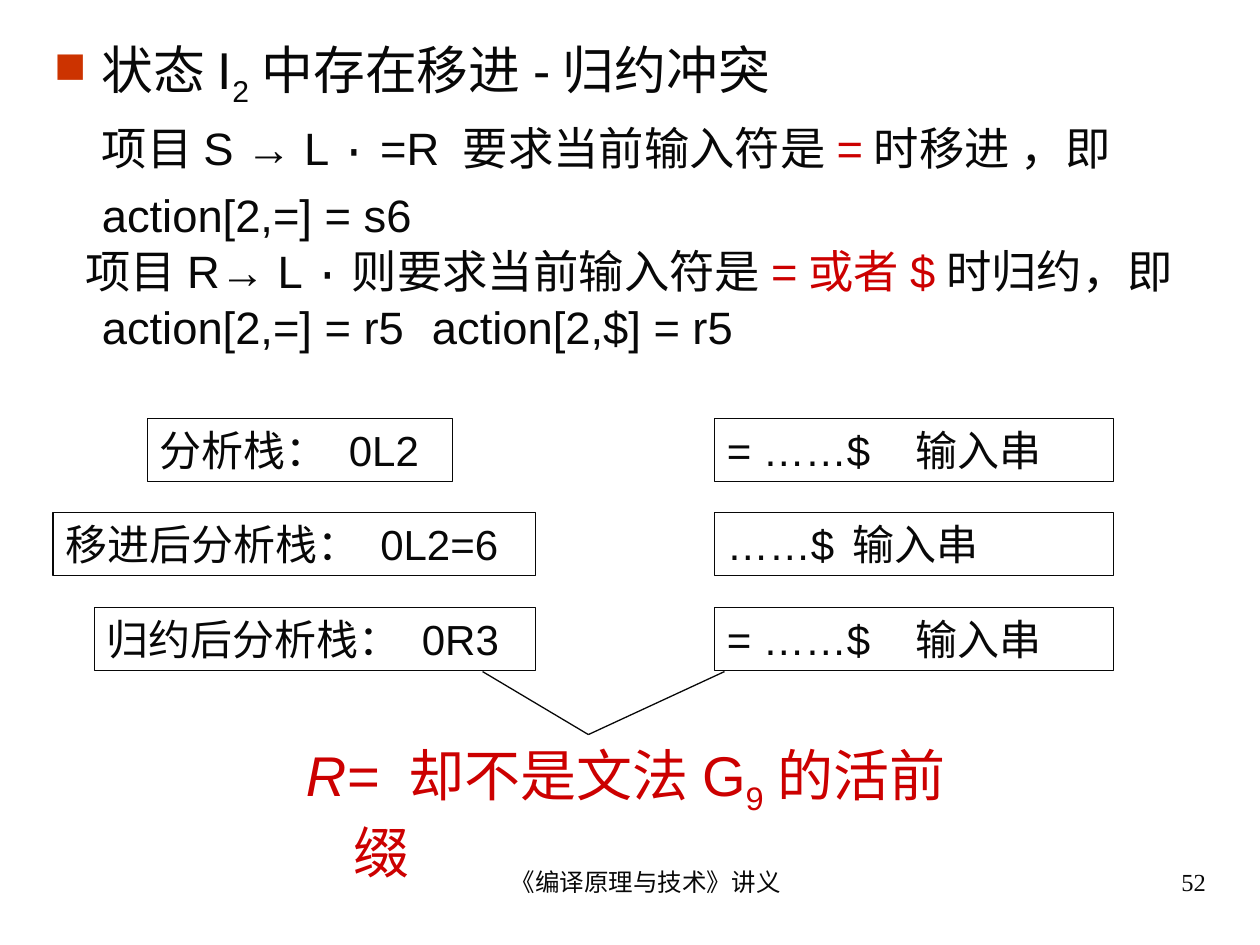
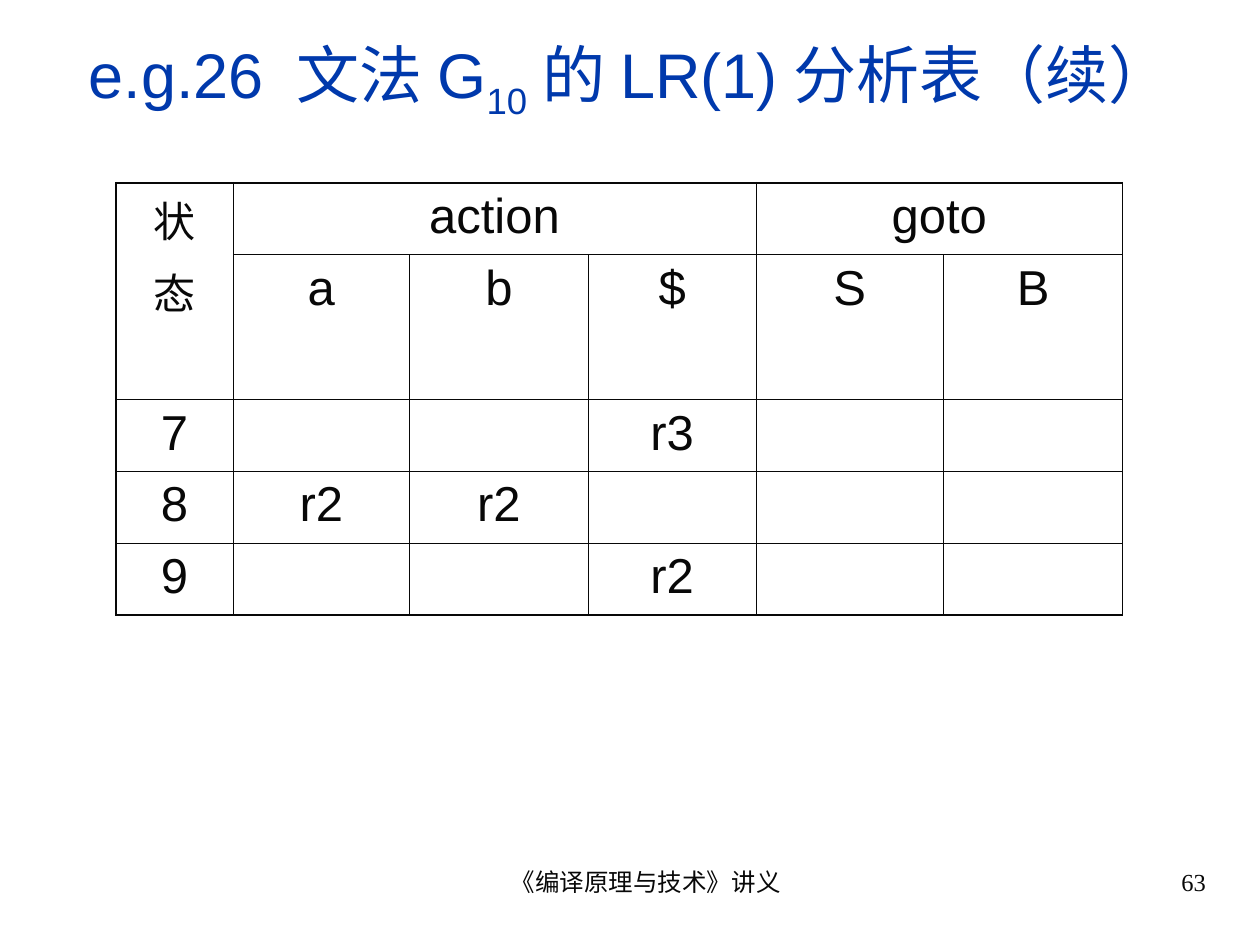
from lxml import etree
from pptx import Presentation
from pptx.dml.color import RGBColor
from pptx.enum.shapes import MSO_CONNECTOR, MSO_SHAPE
from pptx.enum.text import MSO_ANCHOR, PP_ALIGN
from pptx.oxml import parse_xml
from pptx.oxml.ns import nsdecls, qn
from pptx.util import Inches, Pt

LEFT, CENTER, RIGHT = PP_ALIGN.LEFT, PP_ALIGN.CENTER, PP_ALIGN.RIGHT
TOP, MIDDLE = MSO_ANCHOR.TOP, MSO_ANCHOR.MIDDLE
RECTANGLE, STRAIGHT = MSO_SHAPE.RECTANGLE, MSO_CONNECTOR.STRAIGHT

INK, RED, BLUE, BULLET = "080808", "CC0000", "0039AC", "CC3300"
LATIN, CJK, MONO, SERIF = "Arial", "Noto Sans CJK SC", "Courier New", "Times New Roman"
SUBSCRIPT = {"sub": True}


def write(paragraph, text, size, color=INK, font=LATIN, align=LEFT, margin=0,
          indent=0, before=0, spacing=None, tab=None, bullet=None):
    """Fill a paragraph with a string, or with a list of (text, run overrides)."""
    props = paragraph._p.get_or_add_pPr()
    props.set("marL", str(Inches(margin)))
    props.set("indent", str(Inches(indent)))
    if bullet:
        for xml in (f'<a:buClr {nsdecls("a")}><a:srgbClr val="{BULLET}"/></a:buClr>',
                    f'<a:buSzPct {nsdecls("a")} val="85000"/>',
                    f'<a:buChar {nsdecls("a")} char="{bullet}"/>'):
            props.append(parse_xml(xml))
    else:
        etree.SubElement(props, qn("a:buNone"))
    if tab:
        stops = etree.SubElement(props, qn("a:tabLst"))
        etree.SubElement(stops, qn("a:tab"), pos=str(Inches(tab)), algn="l")
    paragraph.alignment = align
    if before:
        paragraph.space_before = Pt(before)
    if spacing:
        paragraph.line_spacing = spacing
    for words, change in [(text, {})] if isinstance(text, str) else text:
        run = paragraph.add_run()
        run.text = words
        run.font.size = Pt(size)
        run.font.name = change.get("font", font)
        run.font.italic = change.get("italic", False)
        run.font.color.rgb = RGBColor.from_string(change.get("color", color))
        run_props = run._r.get_or_add_rPr()
        etree.SubElement(run_props, qn("a:ea"), typeface=CJK)
        if change.get("sub"):
            run_props.set("baseline", "-25000")


def add_text(slide, left, top, width, height):
    """Add a wrapping text box and return its text frame."""
    frame = slide.shapes.add_textbox(
        Inches(left), Inches(top), Inches(width), Inches(height)).text_frame
    frame.word_wrap = True
    return frame


deck = Presentation()
deck.slide_width, deck.slide_height = Inches(10), Inches(7.5)
conflict = deck.slides.add_slide(deck.slide_layouts[6])
parse_table = deck.slides.add_slide(deck.slide_layouts[5])

# Slide 1: the shift-reduce conflict
statements = [
    ([("状态I", {}), ("2", SUBSCRIPT), ("中存在移进-归约冲突", {})],
     dict(size=29.6, margin=0.38, indent=-0.38, bullet="■")),
    ([("项目S → L ", {}), ("∙", {"font": MONO}), (" =R 要求当前输入符是", {}),
      ("=", {"color": RED}), ("时移进 ，即", {})],
     dict(size=25.9, margin=0.38, before=7)),
    ("action[2,=] = s6", dict(size=25.9, margin=0.38, before=7)),
    ([("项目R→ L ", {}), ("∙", {"font": MONO}), ("则要求当前输入符是", {"font": CJK}),
      ("=或者$", {"color": RED}), ("时归约，即", {})],
     dict(size=25.9, margin=0.25, before=7, spacing=0.8)),
    ("action[2,=] = r5\taction[2,$] = r5",
     dict(size=25.9, indent=0.38, before=7, spacing=0.8, tab=3.27)),
]
explanation = add_text(conflict, 0.33, 0.25, 9.34, 3)
for number, (text, style) in enumerate(statements):
    line = explanation.add_paragraph() if number else explanation.paragraphs[0]
    write(line, text, **style)

# Each row: stack box left, width, tab, text; then the remaining input
configurations = [
    (1.17, 2.42, 1.63, "分析栈：\t0L2", "= ……$\t输入串"),
    (0.42, 3.83, 2.63, "移进后分析栈：\t0L2=6", "……$\t输入串"),
    (0.75, 3.5, 2.63, "归约后分析栈：\t0R3", "= ……$\t输入串"),
]
for row, (left, width, tab, stack, remaining) in enumerate(configurations):
    for x, w, stop, text in ((left, width, tab, stack), (5.67, 3.17, 1.96, remaining)):
        box = conflict.shapes.add_shape(
            RECTANGLE, Inches(x), Inches(3.32 + 0.75 * row), Inches(w), Inches(0.5))
        box.shadow.inherit = False
        box.fill.background()
        box.line.color.rgb = RGBColor.from_string(INK)
        box.line.width = Pt(0.75)
        box.text_frame.word_wrap = True
        box.text_frame.vertical_anchor = TOP
        write(box.text_frame.paragraphs[0], text, 24, tab=stop)

for start in (3.83, 5.75):
    leg = conflict.shapes.add_connector(
        STRAIGHT, Inches(start), Inches(5.33), Inches(4.67), Inches(5.83))
    leg.line.color.rgb = RGBColor.from_string(INK)
    leg.line.width = Pt(0.75)
    etree.SubElement(leg._element.spPr, qn("a:effectLst"))

conclusion = add_text(conflict, 2.33, 5.83, 5.58, 1.24)
write(conclusion.paragraphs[0],
      [("R= ", {"italic": True}), ("却不是文法G", {}), ("9", SUBSCRIPT), ("的活前缀", {})],
      32, color=RED, margin=0.38, indent=-0.38)

# Slide 2: the LR(1) table
title = parse_table.shapes.title
title.left, title.top = Inches(0.33), Inches(0.25)
title.width, title.height = Inches(9.34), Inches(0.75)
title.text_frame.vertical_anchor = MIDDLE
write(title.text_frame.paragraphs[0],
      [("e.g.26 文法G", {}), ("10", SUBSCRIPT), ("的LR(1)分析表（续）", {})],
      36, color=BLUE, align=CENTER)

entries = [
    ["状\n态", "action", "", "", "goto", ""],
    ["", "a", "b", "$", "S", "B"],
    ["7", "", "", "r3", "", ""],
    ["8", "r2", "r2", "", "", ""],
    ["9", "", "", "r2", "", ""],
]
column_widths = [0.93, 1.4, 1.42, 1.33, 1.49, 1.42]
row_heights = [0.57, 1.15, 0.57, 0.57, 0.57]
last_row, last_column = len(row_heights) - 1, len(column_widths) - 1
lr_table = parse_table.shapes.add_table(
    len(row_heights), len(column_widths), Inches(0.92), Inches(1.45),
    Inches(sum(column_widths)), Inches(sum(row_heights))).table
lr_table.first_row = lr_table.horz_banding = False
for column, width in zip(lr_table.columns, column_widths):
    column.width = Inches(width)
for row, height in zip(lr_table.rows, row_heights):
    row.height = Inches(height)

for r, row_entries in enumerate(entries):
    for c, entry in enumerate(row_entries):
        cell = lr_table.cell(r, c)
        cell.fill.background()
        outer_sides = {"L": c == 0, "R": c == last_column, "T": r == 0, "B": r == last_row}
        for place, (side, outer) in enumerate(outer_sides.items()):
            cell._tc.get_or_add_tcPr().insert(place, parse_xml(
                f'<a:ln{side} {nsdecls("a")} w="{Pt(1.08 if outer else 0.45)}"><a:solidFill>'
                f'<a:srgbClr val="{INK}"/></a:solidFill></a:ln{side}>'))
        for number, part in enumerate(entry.split("\n") if entry else []):
            frame = cell.text_frame
            line = frame.add_paragraph() if number else frame.paragraphs[0]
            write(line, part, 24 if r == c == 0 else 28, align=CENTER,
                  before=6 if number else 0)

for first, last in (((0, 0), (1, 0)), ((0, 1), (0, 3)), ((0, 4), (0, 5))):
    lr_table.cell(*first).merge(lr_table.cell(*last))

# Footers
for slide, page in ((conflict, "52"), (parse_table, "63")):
    course = add_text(slide, 3.42, 6.83, 3.17, 0.52)
    write(course.paragraphs[0], "《编译原理与技术》讲义", 14, font=SERIF,
          align=CENTER, margin=0.24)
    page_number = add_text(slide, 7.17, 6.83, 2.5, 0.52)
    write(page_number.paragraphs[0], page, 14, font=SERIF, align=RIGHT)

deck.save("out.pptx")
